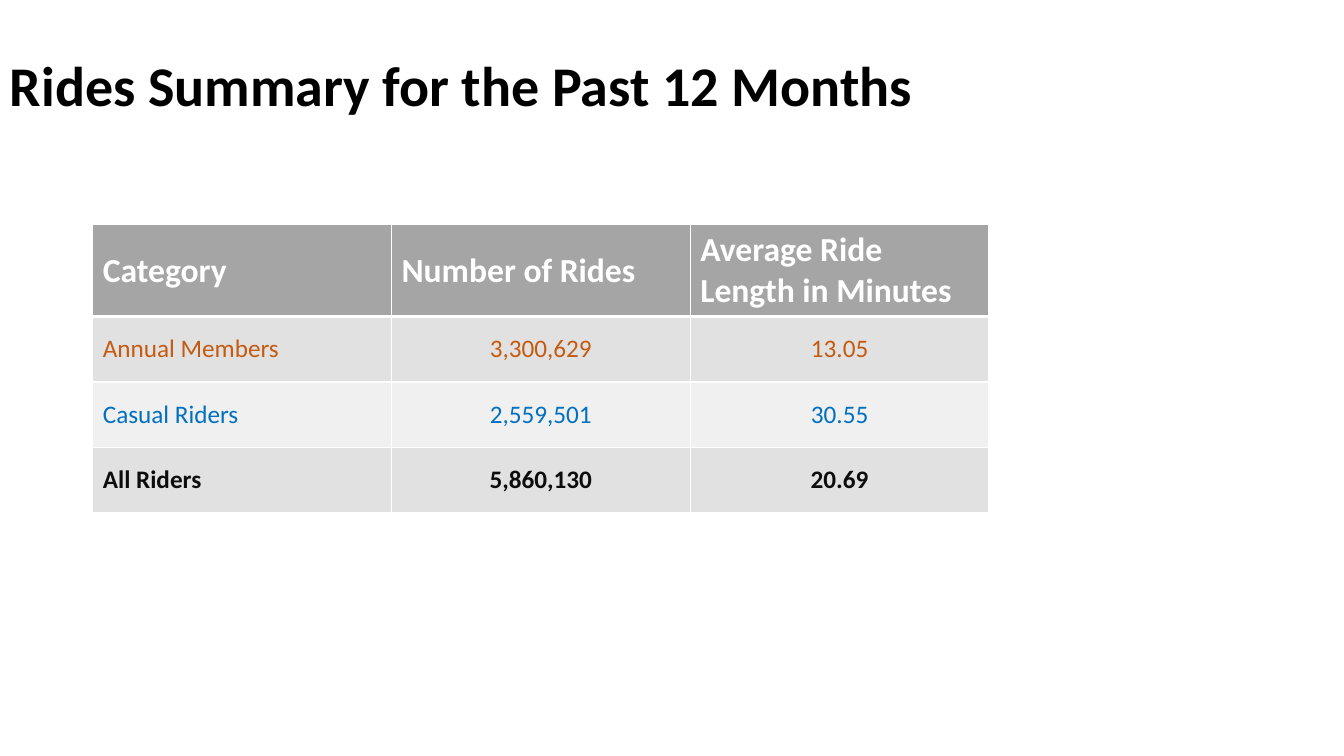
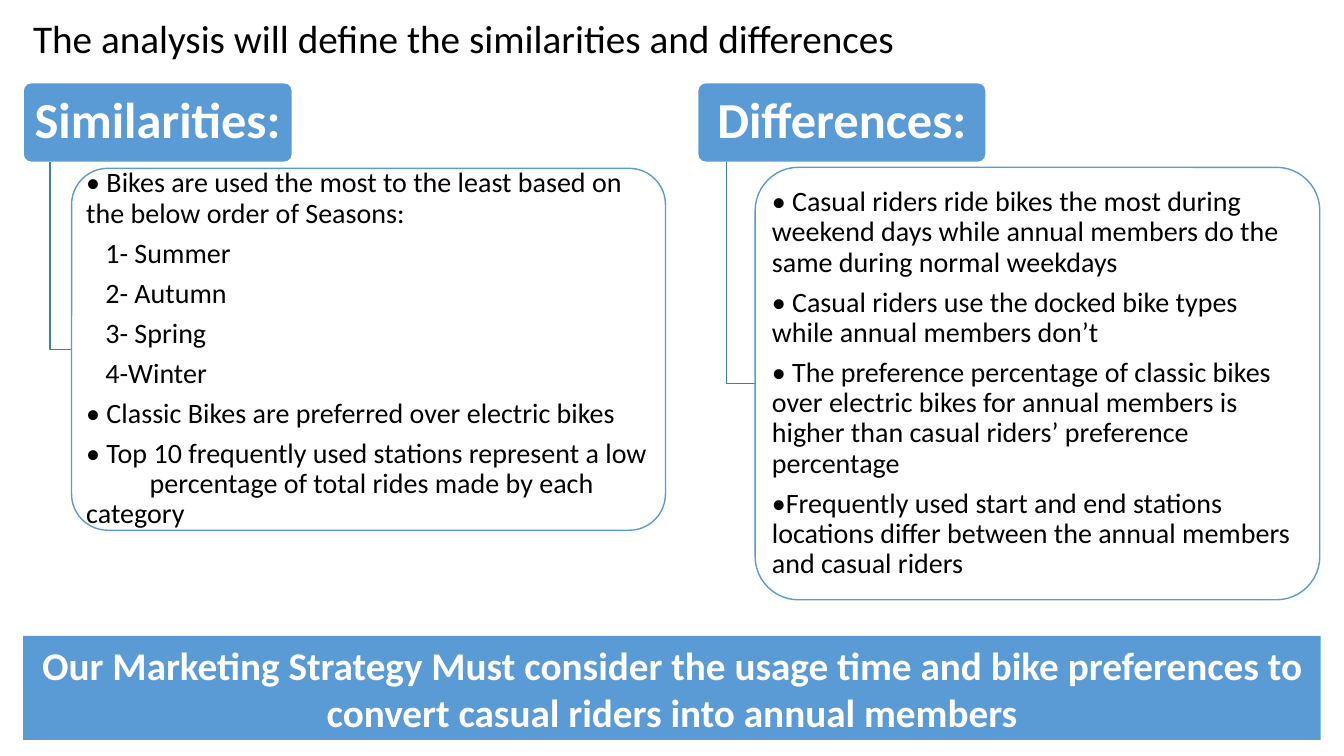
from dataclasses import dataclass

from lxml import etree
from pptx import Presentation
from pptx import util as u
from pptx.dml.color import RGBColor
from pptx.enum import shapes, text
from pptx.oxml import ns


@dataclass(frozen=True)
class Theme:
    font: str = "Calibri"
    black: str = "000000"
    white: str = "FFFFFF"
    blue: str = "5B9BD5"
    branch: str = "497CAB"
    table_header: str = "A5A5A5"
    bands: tuple = ("E1E1E1", "F0F0F0")
    members: str = "C55A11"
    casual: str = "0070C0"
    total: str = "0D0D0D"
    title_size: int = 40
    heading_size: int = 36
    statement_size: int = 28
    column_size: int = 24
    body_size: int = 20
    cell_size: int = 18


THEME = Theme()
LEFT = text.PP_ALIGN.LEFT
CENTER = text.PP_ALIGN.CENTER
TOP = text.MSO_ANCHOR.TOP
MIDDLE = text.MSO_ANCHOR.MIDDLE
CORNER = 0.1
BRANCH_RATIO = 0.1
SPACE_AFTER_RATIO = 0.35
SEASON_INDENT = 0.19
STATION_TAB = 0.63

RIDES = [
    (("Annual Members", "3,300,629", "13.05"), THEME.members, False),
    (("Casual Riders", "2,559,501", "30.55"), THEME.casual, False),
    (("All Riders", "5,860,130", "20.69"), THEME.total, True),
]
COLUMNS = ("Category", "Number of Rides", "Average Ride Length in Minutes")
SEASONS = ("1- Summer", "2- Autumn", "3- Spring", "4-Winter")
SIMILARITIES = (
    "• Bikes are used the most to the least based on the below order of Seasons:",
    *SEASONS,
    "• Classic Bikes are preferred over electric bikes",
    "• Top 10 frequently used stations represent a low\v\tpercentage of total rides made by each category",
)
DIFFERENCES = (
    "• Casual riders ride bikes the most during weekend days while annual members do the same during normal weekdays",
    "• Casual riders use the docked bike types while annual members don’t",
    "• The preference percentage of classic bikes over electric bikes for annual members is higher than casual riders’ preference percentage",
    "•Frequently used start and end stations locations differ between the annual members and casual riders",
)


def rgb(value):
    return RGBColor.from_string(value)


def box(*lengths):
    return [u.Inches(length) for length in lengths]


def write(frame, lines, *, size, color=THEME.black, bold=False, align=LEFT,
          anchor=TOP, line_spacing=None, space_after=None):
    frame.word_wrap = True
    frame.vertical_anchor = anchor
    for index, line in enumerate(lines):
        paragraph = frame.add_paragraph() if index else frame.paragraphs[0]
        paragraph.text = line
        paragraph.alignment = align
        if line_spacing:
            paragraph.line_spacing = line_spacing
        if space_after:
            paragraph.space_after = u.Pt(space_after)
        for run in paragraph.runs:
            run.font.name = THEME.font
            run.font.size = u.Pt(size)
            run.font.bold = bold
            run.font.color.rgb = rgb(color)


def add_text(slide, position, line, **style):
    write(slide.shapes.add_textbox(*box(*position)).text_frame, [line], **style)


def add_box(slide, kind, position, fill, line=None):
    shape = slide.shapes.add_shape(kind, *box(*position))
    shape.shadow.inherit = False
    shape.fill.solid()
    shape.fill.fore_color.rgb = rgb(fill)
    if line:
        shape.line.color.rgb = rgb(line)
        shape.line.width = u.Pt(1)
    else:
        shape.line.fill.background()
    return shape


def add_rounded_text(slide, position, lines, *, fill, line, size, **style):
    shape = add_box(slide, shapes.MSO_SHAPE.ROUNDED_RECTANGLE, position, fill, line)
    shape.adjustments[0] = CORNER
    frame = shape.text_frame
    frame.margin_left = frame.margin_right = u.Inches(0.04)
    frame.margin_top = frame.margin_bottom = u.Inches(0.03)
    write(frame, lines, size=size, anchor=MIDDLE, line_spacing=0.9,
          space_after=size * SPACE_AFTER_RATIO, **style)
    return shape


def add_branch(slide, header, card):
    left, top, width, height = header
    start_x, start_y = box(left + width * BRANCH_RATIO, top + height)
    end_x, end_y = box(card[0], card[1] + card[3] / 2)
    builder = slide.shapes.build_freeform(start_x, start_y)
    builder.add_line_segments([(start_x, end_y), (end_x, end_y)], close=False)
    shape = builder.convert_to_shape()
    shape.shadow.inherit = False
    shape.fill.background()
    shape.line.color.rgb = rgb(THEME.branch)
    shape.line.width = u.Pt(1)


def add_group(slide, heading, lines, header, card):
    add_rounded_text(slide, header, [heading], fill=THEME.blue, line=THEME.white,
                     size=THEME.heading_size, color=THEME.white, bold=True, align=CENTER)
    add_branch(slide, header, card)
    return add_rounded_text(slide, card, lines, fill=THEME.white, line=THEME.blue,
                            size=THEME.body_size)


def indent_paragraph(paragraph, inches):
    paragraph._p.get_or_add_pPr().set("marL", str(u.Inches(inches)))


def add_tab_stop(paragraph, inches):
    properties = paragraph._p.get_or_add_pPr()
    stops = etree.SubElement(properties, ns.qn("a:tabLst"))
    etree.SubElement(stops, ns.qn("a:tab"), pos=str(u.Inches(inches)), algn="l")


def set_borders(cell, **widths):
    properties = cell._tc.get_or_add_tcPr()
    for side in "LRTB":
        width = u.Pt(widths.get(side, 1))
        border = etree.SubElement(properties, ns.qn(f"a:ln{side}"), w=str(width))
        fill = etree.SubElement(border, ns.qn("a:solidFill"))
        etree.SubElement(fill, ns.qn("a:srgbClr"), val=THEME.white)


def fill_row(table, row, values, fill, aligns, borders, **style):
    for column, (value, align) in enumerate(zip(values, aligns)):
        cell = table.cell(row, column)
        set_borders(cell, **borders)
        cell.fill.solid()
        cell.fill.fore_color.rgb = rgb(fill)
        cell.vertical_anchor = MIDDLE
        write(cell.text_frame, [value], align=align, anchor=None, **style)


def add_rides_table(slide):
    heights = [0.91] + [0.65] * len(RIDES)
    position = box(0.92, 2.23, 8.89, sum(heights))
    table = slide.shapes.add_table(len(heights), len(COLUMNS), *position).table
    for row, height in zip(table.rows, heights):
        row.height = u.Inches(height)
    fill_row(table, 0, COLUMNS, THEME.table_header, [LEFT] * 3, {"B": 3},
             size=THEME.column_size, color=THEME.white, bold=True)
    for row, (values, color, bold) in enumerate(RIDES, start=1):
        fill_row(table, row, values, THEME.bands[(row - 1) % 2], [LEFT, CENTER, CENTER],
                 {"T": 3} if row == 1 else {}, size=THEME.cell_size, color=color, bold=bold)


def build_summary(slide):
    add_text(slide, (0, 0.15, 11.5, 1.45), "Rides Summary for the Past 12 Months",
             size=THEME.title_size, bold=True, anchor=MIDDLE, line_spacing=0.9)
    add_rides_table(slide)


def build_comparison(slide):
    add_text(slide, (0.23, 0.09, 9.87, 0.57),
             "The analysis will define the similarities and differences",
             size=THEME.statement_size)
    similarities = add_group(slide, "Similarities:", SIMILARITIES,
                             (0.23, 0.82, 2.67, 0.79), (0.71, 1.67, 5.89, 3.59))
    paragraphs = similarities.text_frame.paragraphs
    for paragraph in paragraphs[1:1 + len(SEASONS)]:
        indent_paragraph(paragraph, SEASON_INDENT)
    add_tab_stop(paragraphs[-1], STATION_TAB)
    add_group(slide, "Differences:", DIFFERENCES,
              (6.92, 0.82, 2.86, 0.79), (7.49, 1.66, 5.6, 4.29))
    banner = add_box(slide, shapes.MSO_SHAPE.RECTANGLE, (0.23, 6.31, 12.87, 1.03), THEME.blue)
    write(banner.text_frame,
          ["Our Marketing Strategy Must consider the usage time and bike preferences "
           "to convert casual riders into annual members"],
          size=THEME.statement_size, color=THEME.white, bold=True, align=CENTER)


def main():
    presentation = Presentation()
    presentation.slide_width, presentation.slide_height = box(13.33, 7.5)
    blank = presentation.slide_layouts[6]
    for build in (build_summary, build_comparison):
        build(presentation.slides.add_slide(blank))
    presentation.save("out.pptx")


if __name__ == "__main__":
    main()
